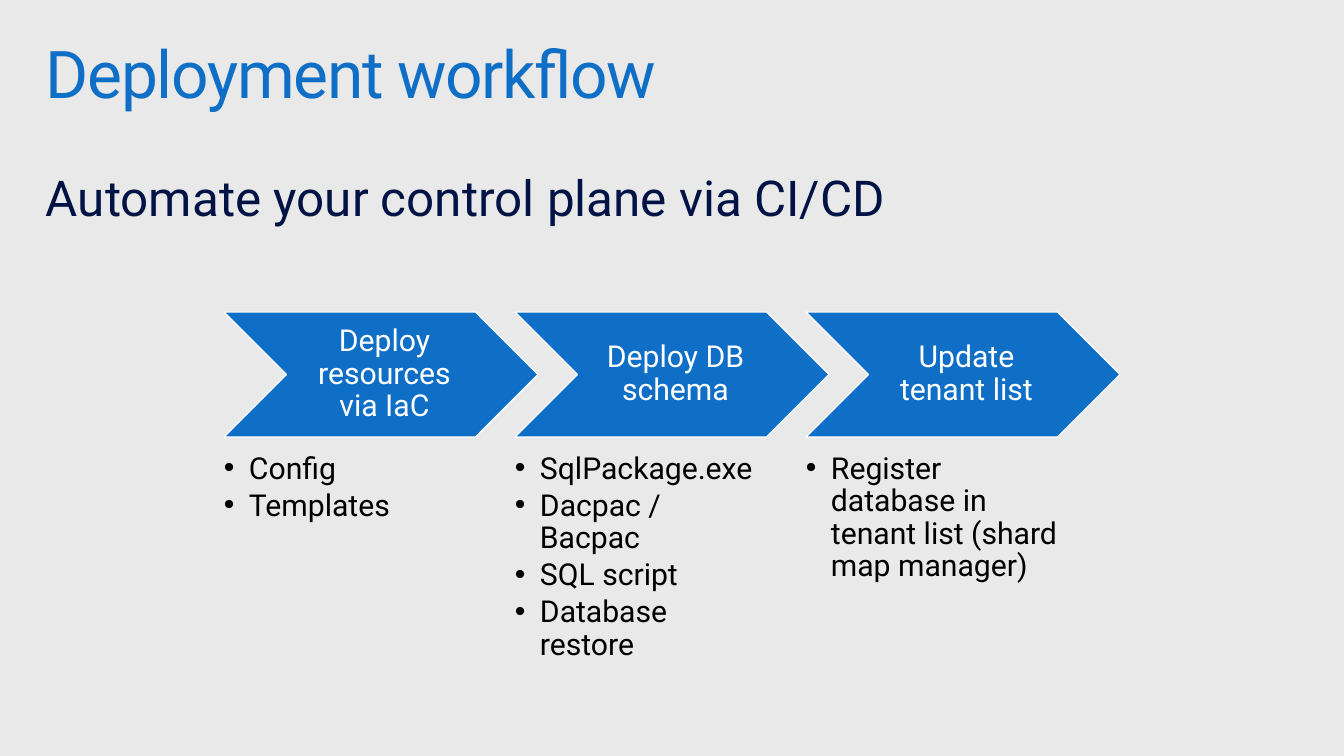
import pptx
import pptx.dml.color
import pptx.enum.shapes
import pptx.enum.text
import pptx.util
from lxml import etree

TITLE = "Deployment workflow"
SUBTITLE = "Automate your control plane via CI/CD"
STEPS = [
    ("Deploy resources via IaC", ["Config", "Templates"]),
    ("Deploy DB schema",
     ["SqlPackage.exe", "Dacpac / Bacpac", "SQL script", "Database restore"]),
    ("Update tenant list",
     ["Register database in tenant list (shard map manager)"]),
]

FONT = "Roboto"
BULLET_FONT = "Arial"
BLUE = pptx.dml.color.RGBColor(0x0F, 0x6F, 0xC6)
NAVY = pptx.dml.color.RGBColor(0x00, 0x13, 0x44)
BLACK = pptx.dml.color.RGBColor(0, 0, 0)
WHITE = pptx.dml.color.RGBColor(255, 255, 255)
GREY = pptx.dml.color.RGBColor(0xE9, 0xE9, 0xE9)

EMU_PER_PX = 9255
SLIDE_WIDTH, SLIDE_HEIGHT = 1344, 756
HEADING_LEFT = 30
HEADING_INSETS = (16, 10, 16, 10)
STEP_LEFT, STEP_PITCH = 224, 291
CHEVRON_TOP, CHEVRON_WIDTH, CHEVRON_HEIGHT = 312, 314, 125
CHEVRON_INSETS = (10, 3, 3, 3)
LIST_TOP, LIST_WIDTH, LIST_HEIGHT = 453, 253, 207
BULLET_INDENT = 25


def px(length):
    return pptx.util.Emu(length * EMU_PER_PX)


def add_bullet(paragraph):
    properties = paragraph._p.get_or_add_pPr()
    properties.set("marL", str(px(BULLET_INDENT)))
    properties.set("indent", str(-px(BULLET_INDENT)))
    for tag, name, value in (("a:buFont", "typeface", BULLET_FONT),
                             ("a:buChar", "char", "•")):
        etree.SubElement(properties, pptx.oxml.ns.qn(tag)).set(name, value)


def write_text(shape, lines, *, size, color, insets=(0, 0, 0, 0), align="LEFT",
               anchor="TOP", space_after=0, bullets=False, spacing=0):
    """Fill a shape with one paragraph per line; spacing is in points."""
    frame = shape.text_frame
    frame.word_wrap = True
    frame.vertical_anchor = pptx.enum.text.MSO_ANCHOR[anchor]
    (frame.margin_left, frame.margin_top,
     frame.margin_right, frame.margin_bottom) = map(px, insets)
    for index, line in enumerate(lines):
        paragraph = frame.add_paragraph() if index else frame.paragraphs[0]
        paragraph.alignment = pptx.enum.text.PP_ALIGN[align]
        paragraph.line_spacing = 0.9
        paragraph.space_after = pptx.util.Pt(space_after)
        if bullets:
            add_bullet(paragraph)
        run = paragraph.add_run()
        run.text = line
        run.font.name = FONT
        run.font.size = pptx.util.Pt(size)
        run.font.color.rgb = color
        if spacing:
            run._r.get_or_add_rPr().set("spc", str(spacing * 100))


def add_text(slide, box, lines, **text_format):
    write_text(slide.shapes.add_textbox(*map(px, box)), lines, **text_format)


def add_step(slide, left, label, items):
    chevron = slide.shapes.add_shape(
        pptx.enum.shapes.MSO_SHAPE.CHEVRON,
        *map(px, (left, CHEVRON_TOP, CHEVRON_WIDTH, CHEVRON_HEIGHT)))
    chevron.shadow.inherit = False
    chevron.fill.solid()
    chevron.fill.fore_color.rgb = BLUE
    chevron.line.color.rgb = WHITE
    chevron.line.width = pptx.util.Pt(0.85)
    write_text(chevron, [label], size=22, color=WHITE, insets=CHEVRON_INSETS,
               align="CENTER", anchor="MIDDLE")
    add_text(slide, (left, LIST_TOP, LIST_WIDTH, LIST_HEIGHT), items,
             size=22, color=BLACK, space_after=3.3, bullets=True)


def main():
    presentation = pptx.Presentation()
    presentation.slide_width = px(SLIDE_WIDTH)
    presentation.slide_height = px(SLIDE_HEIGHT)
    slide = presentation.slides.add_slide(presentation.slide_layouts[6])
    slide.background.fill.solid()
    slide.background.fill.fore_color.rgb = GREY

    add_text(slide, (HEADING_LEFT, 32, 1268, 99), [TITLE],
             size=48, color=BLUE, insets=HEADING_INSETS, spacing=-1)
    add_text(slide, (HEADING_LEFT, 164, 1202, 74), [SUBTITLE],
             size=36, color=NAVY, insets=HEADING_INSETS)
    for index, (label, items) in enumerate(STEPS):
        add_step(slide, STEP_LEFT + index * STEP_PITCH, label, items)

    presentation.save("out.pptx")


if __name__ == "__main__":
    main()
